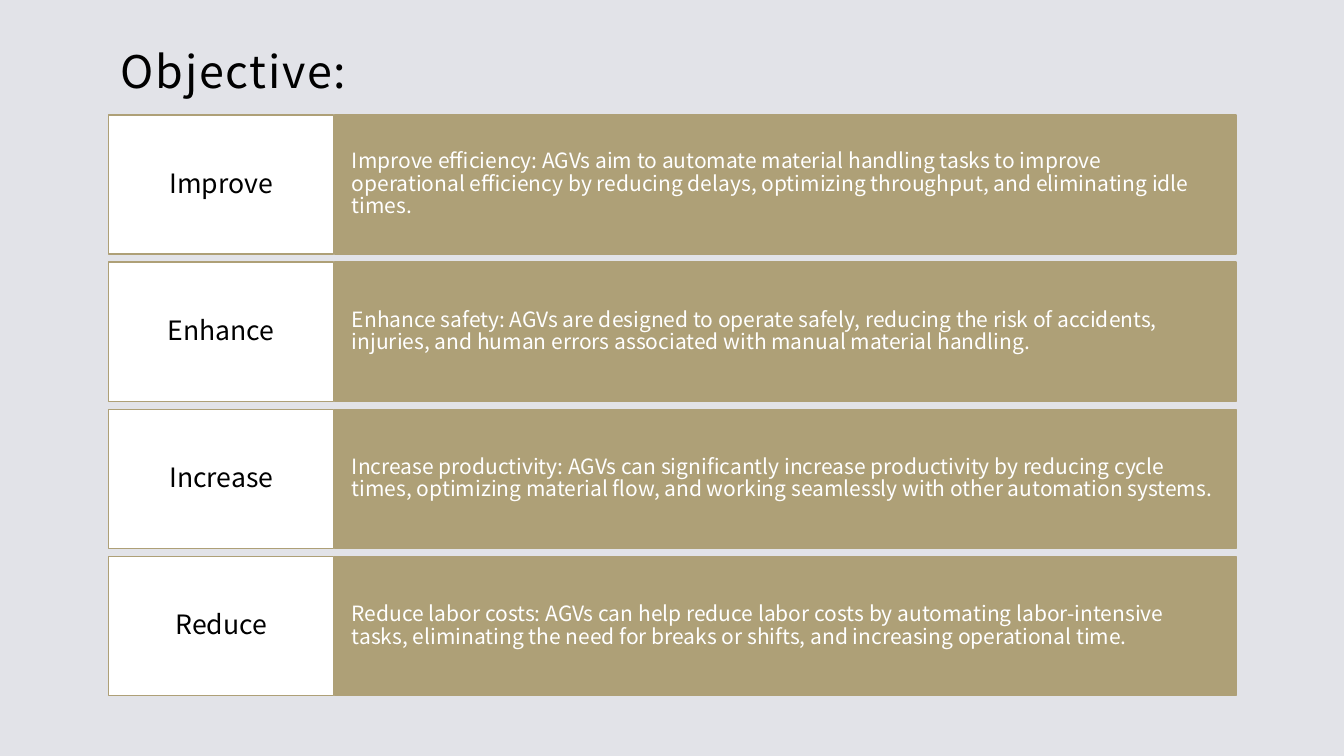
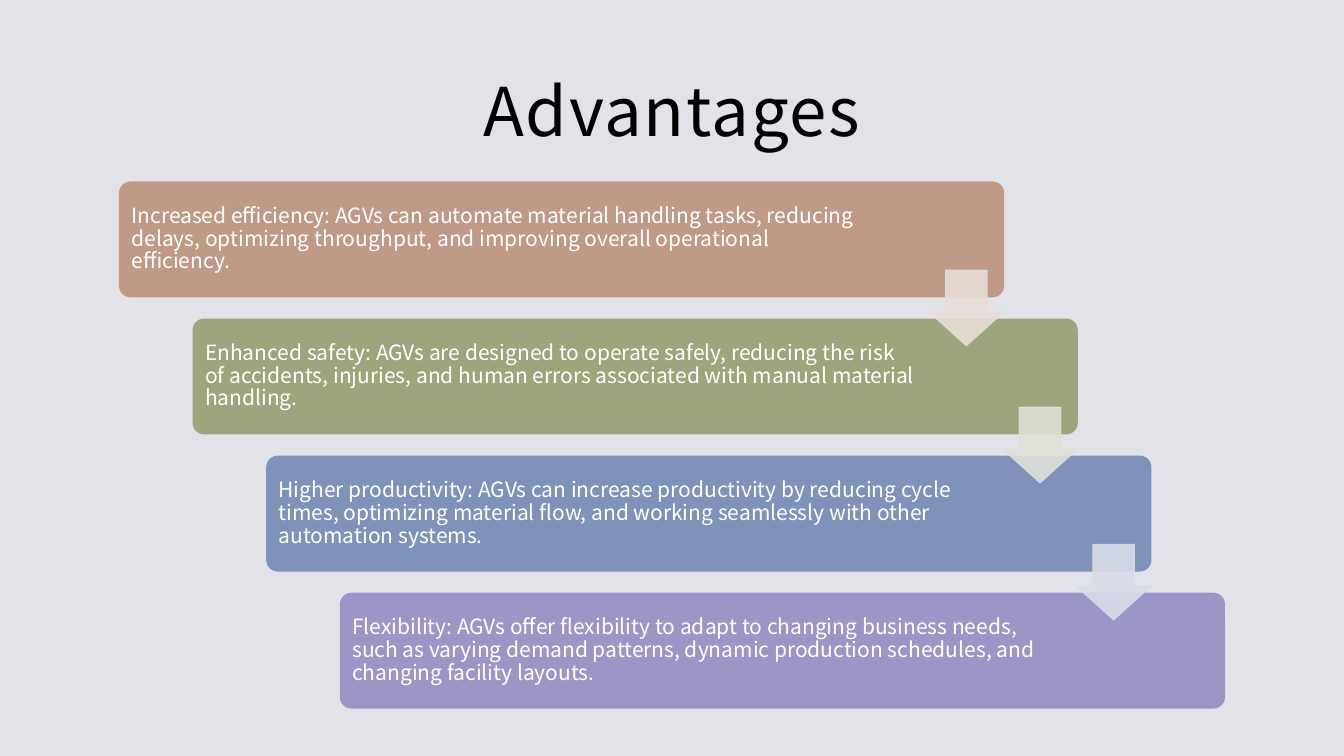
from pptx import Presentation
from pptx.dml.color import RGBColor
from pptx.enum.shapes import MSO_SHAPE
from pptx.enum.text import MSO_ANCHOR, PP_ALIGN
from pptx.oxml.ns import qn
from pptx.util import Inches, Pt
from lxml.etree import SubElement

FONT = "Noto Sans CJK JP"
BACKGROUND = RGBColor(0xE2, 0xE3, 0xE8)
BLACK = RGBColor(0x00, 0x00, 0x00)
WHITE = RGBColor(0xFF, 0xFF, 0xFF)
SAND = RGBColor(0xAE, 0xA0, 0x77)
CLAY = RGBColor(0xBE, 0x9A, 0x87)
OLIVE = RGBColor(0x9E, 0xA4, 0x7C)
BLUE = RGBColor(0x7F, 0x92, 0xBA)
VIOLET = RGBColor(0x9B, 0x96, 0xC6)
PALE_CLAY = RGBColor(0xE8, 0xDE, 0xD9)
PALE_OLIVE = RGBColor(0xDF, 0xE0, 0xD7)
PALE_BLUE = RGBColor(0xD8, 0xDC, 0xE7)


def write(box, text, size=15, color=WHITE, align=PP_ALIGN.LEFT, anchor=MSO_ANCHOR.MIDDLE,
          insets=(0.12, 0.12, 0.12, 0.1), line_spacing=0.9, tracking=0):
    frame = box.text_frame
    frame.word_wrap = True
    frame.vertical_anchor = anchor
    frame.margin_left, frame.margin_top, frame.margin_right, frame.margin_bottom = map(Inches, insets)
    para = frame.paragraphs[0]
    para.alignment = align
    para.line_spacing = line_spacing
    span = para.add_run()
    span.text = text
    span.font.name = FONT
    span.font.size = Pt(size)
    span.font.color.rgb = color
    if tracking:
        span.font._element.set("spc", str(round(tracking * 100)))


def set_opacity(shape, percent):
    for color in shape._element.spPr.iter(qn("a:srgbClr")):
        SubElement(color, qn("a:alpha")).set("val", str(percent * 1000))


class Deck:
    def __init__(self):
        self.deck = Presentation()
        self.deck.slide_width = Inches(13.33)
        self.deck.slide_height = Inches(7.5)
        self.page = None

    def add_page(self, title, top, height, size, **style):
        self.page = self.deck.slides.add_slide(self.deck.slide_layouts[6])
        fill = self.page.background.fill
        fill.solid()
        fill.fore_color.rgb = BACKGROUND
        box = self.page.shapes.add_textbox(Inches(1.08), Inches(top), Inches(11.17), Inches(height))
        write(box, title, size=size, color=BLACK, line_spacing=1.1, tracking=1.2, **style)

    def shape(self, kind, left, top, width, height, fill, line=None, line_width=0.85, adjustments=()):
        shape = self.page.shapes.add_shape(kind, Inches(left), Inches(top), Inches(width), Inches(height))
        shape.shadow.inherit = False
        shape.fill.solid()
        shape.fill.fore_color.rgb = fill
        if line is None:
            shape.line.fill.background()
        else:
            shape.line.color.rgb = line
            shape.line.width = Pt(line_width)
        for index, value in enumerate(adjustments):
            shape.adjustments[index] = value
        return shape

    def objective_row(self, top, label, body):
        panel = self.shape(MSO_SHAPE.RECTANGLE, 3.32, top, 8.94, 1.38, SAND, SAND)
        write(panel, body, insets=(0.17, 0.35, 0.17, 0.35))
        tag = self.shape(MSO_SHAPE.RECTANGLE, 1.08, top, 2.23, 1.38, WHITE, SAND)
        write(tag, label, size=19, color=BLACK, align=PP_ALIGN.CENTER, insets=(0.12, 0.14, 0.12, 0.14))

    def step_card(self, left, top, text, fill, right_inset):
        card = self.shape(MSO_SHAPE.ROUNDED_RECTANGLE, left, top, 8.78, 1.15, fill, adjustments=(0.1,))
        write(card, text, insets=(0.09, 0.09, right_inset, 0.09))

    def step_arrow(self, left, top, color):
        arrow = self.shape(MSO_SHAPE.DOWN_ARROW, left, top, 0.75, 0.75, color, color, 0.75, (0.55, 0.45))
        set_opacity(arrow, 90)


OBJECTIVES = [
    ("Improve", "Improve efficiency: AGVs aim to automate material handling tasks to improve operational "
                "efficiency by reducing delays, optimizing throughput, and eliminating idle times."),
    ("Enhance", "Enhance safety: AGVs are designed to operate safely, reducing the risk of accidents, "
                "injuries, and human errors associated with manual material handling."),
    ("Increase", "Increase productivity: AGVs can significantly increase productivity by reducing cycle "
                 "times, optimizing material flow, and working seamlessly with other automation systems."),
    ("Reduce", "Reduce labor costs: AGVs can help reduce labor costs by automating labor-intensive tasks, "
               "eliminating the need for breaks or shifts, and increasing operational time."),
]
ADVANTAGES = [
    ("Increased efficiency: AGVs can automate material handling tasks, reducing delays, optimizing "
     "throughput, and improving overall operational efficiency.", CLAY, 1.37),
    ("Enhanced safety: AGVs are designed to operate safely, reducing the risk of accidents, injuries, "
     "and human errors associated with manual material handling.", OLIVE, 1.58),
    ("Higher productivity: AGVs can increase productivity by reducing cycle times, optimizing material "
     "flow, and working seamlessly with other automation systems.", BLUE, 1.58),
    ("Flexibility: AGVs offer flexibility to adapt to changing business needs, such as varying demand "
     "patterns, dynamic production schedules, and changing facility layouts.", VIOLET, 1.58),
]
ARROW_COLORS = [PALE_CLAY, PALE_OLIVE, PALE_BLUE]

show = Deck()

show.add_page("Objective:", 0.43, 0.64, 32, anchor=MSO_ANCHOR.BOTTOM)
for row, (label, body) in enumerate(OBJECTIVES):
    show.objective_row(1.14 + 1.46 * row, label, body)

show.add_page("Advantages", 0.28, 1.52, 48, align=PP_ALIGN.CENTER)
steps = [(1.18 + 0.73 * step, 1.8 + 1.36 * step) for step in range(len(ADVANTAGES))]
for (left, top), (text, fill, right_inset) in zip(steps, ADVANTAGES):
    show.step_card(left, top, text, fill, right_inset)
for (left, top), color in zip(steps, ARROW_COLORS):
    show.step_arrow(left + 8.03, top + 0.88, color)

show.deck.save("out.pptx")
